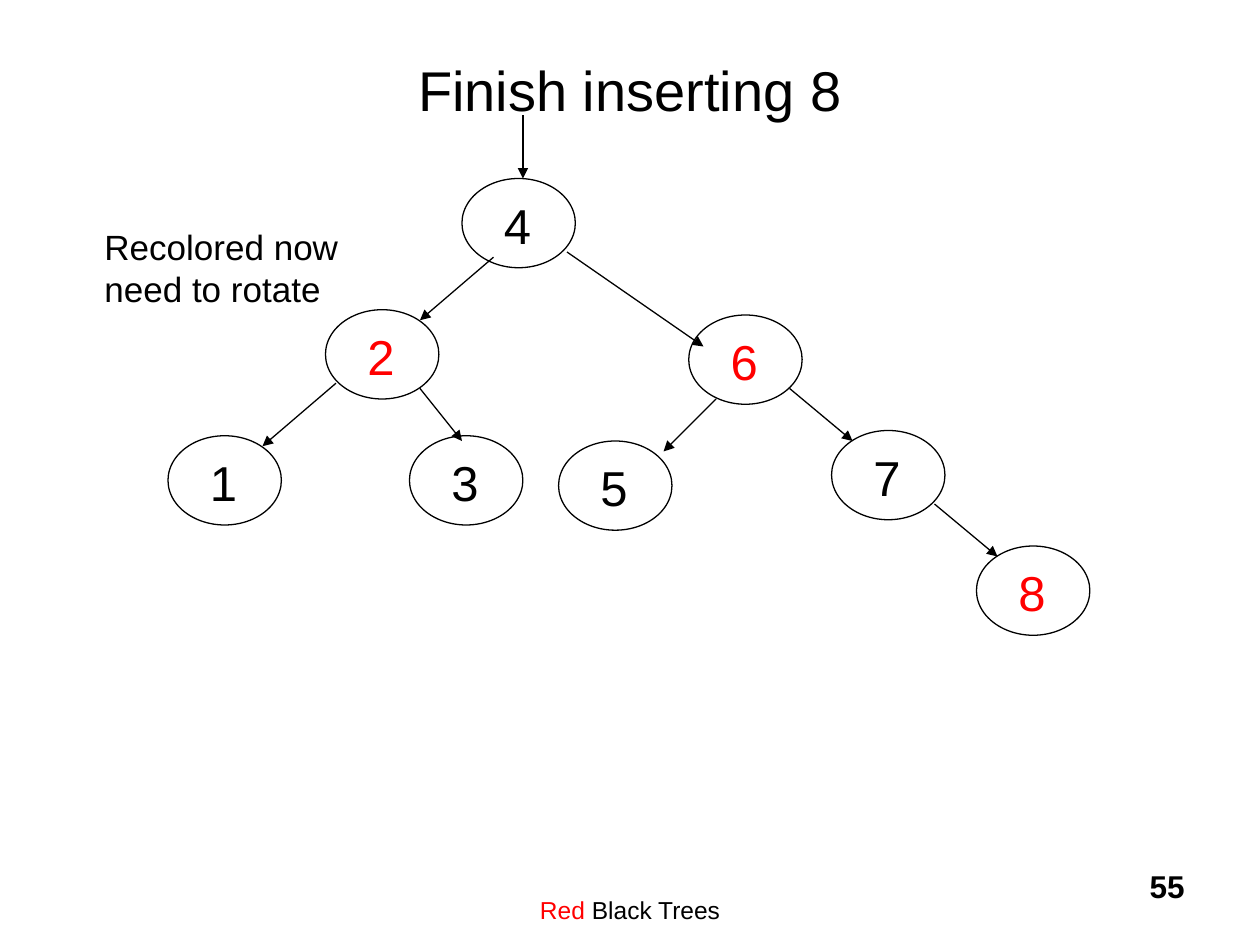
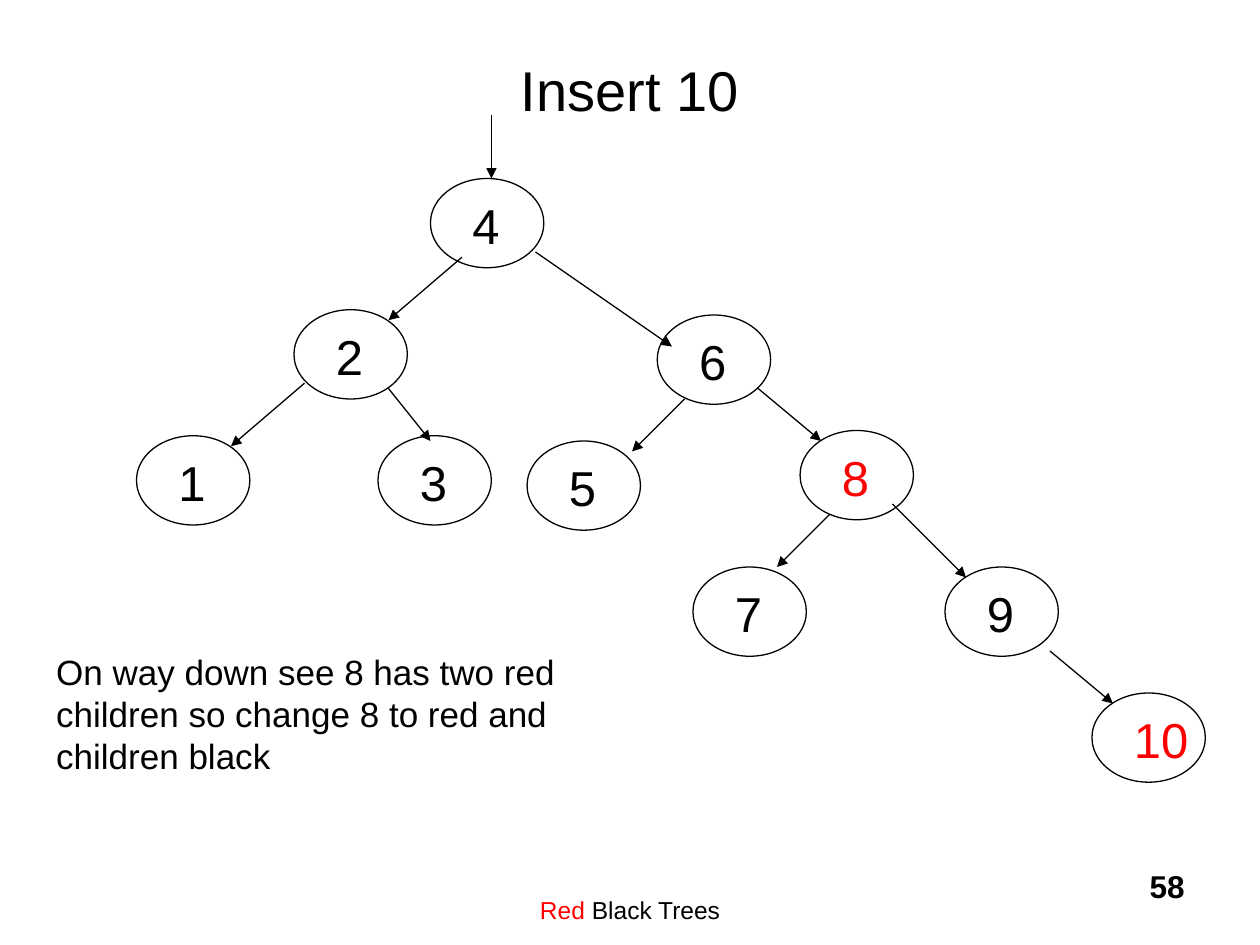
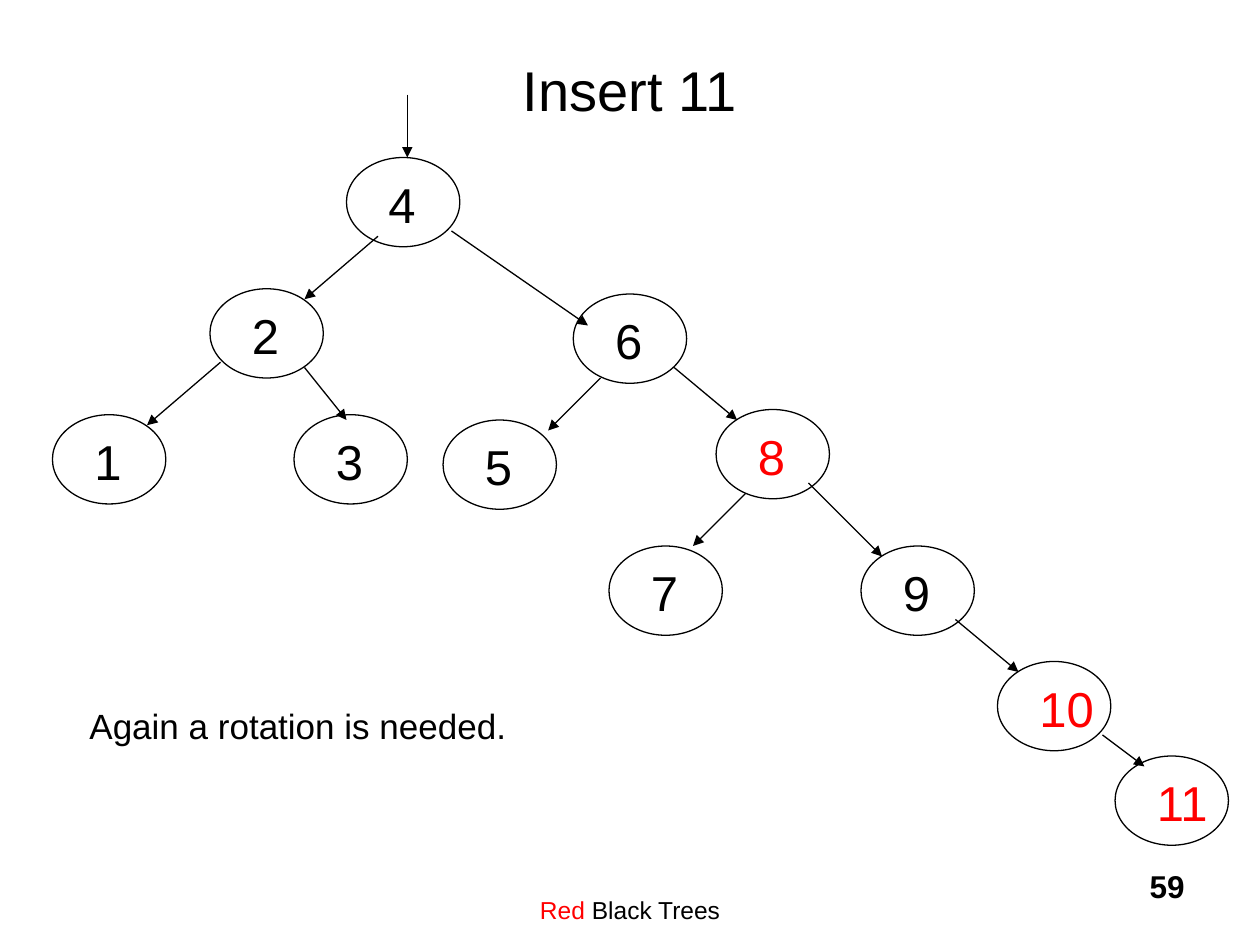
from dataclasses import dataclass

from lxml.etree import SubElement
from pptx import Presentation
from pptx.dml.color import RGBColor
from pptx.enum.shapes import MSO_CONNECTOR, MSO_SHAPE
from pptx.enum.text import MSO_ANCHOR, MSO_AUTO_SIZE, PP_ALIGN
from pptx.oxml.ns import qn
from pptx.util import Pt


@dataclass(frozen=True)
class Theme:
    font: str = "Arial"
    black: RGBColor = RGBColor(0, 0, 0)
    red: RGBColor = RGBColor(255, 0, 0)
    title: int = 32
    key: int = 28
    note: int = 20
    number: int = 18
    footer: int = 14
    line: float = 0.75


T = Theme()

# Content: tree coordinates are points measured from the root's top left corner
NODE_W, NODE_H = 64.8, 51
KEY_DX, KEY_DY, KEY_H = 16.8, 6, 41
KEY_WIDTHS = {1: 30.2, 2: 46}  # by number of digits

# (key, node position, arrow start, arrow end)
CORE = [
    ("4", (0, 0), (34.8, -36), (34.8, 0)),
    ("2", (-78, 75), (18, 45), (-24, 81)),
    ("6", (129.6, 78), (60, 42), (138, 96)),
    ("3", (-30, 147), (-24, 120), (0, 150)),
    ("5", (55.2, 150), (145.2, 126), (115.2, 156)),
    ("1", (-168, 147), (-72, 117), (-114, 153)),
]
RIGHT = ((211.2, 144), (187.2, 120), (223.2, 150))
SPLIT = CORE + [
    ("8", *RIGHT),
    ("7", (150, 222), (228, 192), (198, 222)),
    ("9", (294, 222), (264, 186), (306, 228)),
]

SLIDES = [
    dict(title="Finish inserting 8", number="55", root=(264, 102), red={"2", "6", "8"},
         nodes=CORE + [("7", *RIGHT),
                       ("8", (294, 210), (270, 186), (306, 216))],
         note="Recolored now\nneed to rotate", note_box=(52.6, 125.3, 149, 55.4), wrap=False),
    dict(title="Insert 10", number="58", root=(246, 102), red={"8", "10"},
         nodes=SPLIT + [("10", (378, 294), (354, 270), (390, 300))],
         note="On way down see 8 has two red children so change 8 to red and children black",
         note_box=(25, 368, 325.4, 80), wrap=True),
    dict(title="Insert 11", number="59", root=(198, 90), red={"8", "10", "11"},
         nodes=SPLIT + [("10", (372, 288), (348, 264), (384, 294)),
                        ("11", (439.2, 342), (432, 330), (456, 348))],
         note="Again a rotation is needed.", note_box=(44, 399, 291.6, 31.7), wrap=True),
]


# Helpers
def points(values):
    return [Pt(v) for v in values]


def write(tf, runs, size, align=PP_ALIGN.LEFT, bold=False):
    """Fill the first paragraph with (text, colour) runs; a newline breaks the line."""
    p = tf.paragraphs[0]
    p.alignment = align
    for text, color in runs:
        for i, part in enumerate(text.split("\n")):
            if i:
                p.add_line_break()
            r = p.add_run()
            r.text = part
            r.font.name, r.font.size, r.font.bold = T.font, Pt(size), bold
            r.font.color.rgb = color
    return p


def add_text(shapes, box, runs, size, wrap=True, grow=False, top=3.6, **fmt):
    tf = shapes.add_textbox(*points(box)).text_frame
    tf.word_wrap = wrap
    tf.margin_top = Pt(top)
    p = write(tf, runs, size, **fmt)
    if grow:
        tf.auto_size = MSO_AUTO_SIZE.SHAPE_TO_FIT_TEXT
        spacing = SubElement(p._p.get_or_add_pPr(), qn("a:spcBef"))
        SubElement(spacing, qn("a:spcPct"), val="20000")


def add_node(s, key, x, y, color):
    shapes = s.shapes.add_group_shape().shapes
    sp = shapes.add_shape(MSO_SHAPE.OVAL, *points((x, y, NODE_W, NODE_H)))
    sp.shadow.inherit = False
    sp.fill.background()
    sp.line.color.rgb, sp.line.width = T.black, Pt(T.line)
    add_text(shapes, (x + KEY_DX, y + KEY_DY, KEY_WIDTHS[len(key)], KEY_H),
             [(key, color)], T.key, wrap=False, grow=True)


def add_arrow(s, start, end):
    cn = s.shapes.add_connector(MSO_CONNECTOR.STRAIGHT, *points(start + end))
    cn.line.color.rgb, cn.line.width = T.black, Pt(T.line)
    SubElement(cn.line._get_or_add_ln(), qn("a:tailEnd"), type="triangle")
    SubElement(cn._element.spPr, qn("a:effectLst"))


def add_frame(s, title, number):
    add_text(s.shapes, (222, 492, 276, 36), [("Red", T.red), (" Black Trees", T.black)],
             T.footer, top=19.7, align=PP_ALIGN.CENTER)
    add_text(s.shapes, (534, 492, 150, 36), [(number, T.black)],
             T.number, align=PP_ALIGN.RIGHT, bold=True)
    sp = s.shapes.title
    sp.left, sp.top, sp.width, sp.height = points((54, 6, 612, 90))
    sp.text_frame.vertical_anchor = MSO_ANCHOR.MIDDLE
    write(sp.text_frame, [(title, T.black)], T.title, align=PP_ALIGN.CENTER)


def add_tree(s, root, nodes, red):
    def place(offset):
        return root[0] + offset[0], root[1] + offset[1]

    for key, at, start, end in nodes:
        add_node(s, key, *place(at), T.red if key in red else T.black)
        add_arrow(s, place(start), place(end))


# Build
def main():
    prs = Presentation()
    prs.slide_width, prs.slide_height = Pt(720), Pt(540)
    for d in SLIDES:
        s = prs.slides.add_slide(prs.slide_layouts[5])
        add_frame(s, d["title"], d["number"])
        add_tree(s, d["root"], d["nodes"], d["red"])
        add_text(s.shapes, d["note_box"], [(d["note"], T.black)], T.note,
                 wrap=d["wrap"], grow=True)
    prs.save("out.pptx")


if __name__ == "__main__":
    main()
